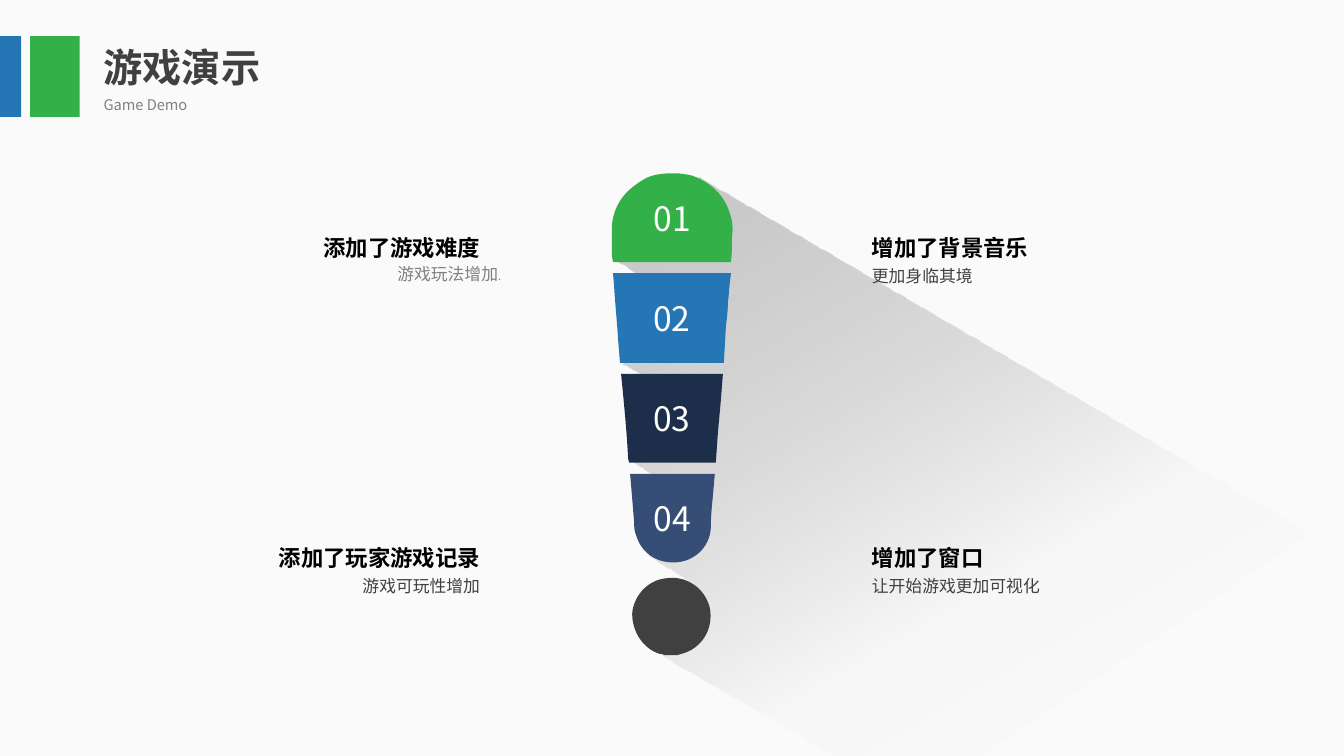
from lxml import etree
from pptx import Presentation
from pptx.dml.color import RGBColor
from pptx.enum.shapes import MSO_SHAPE
from pptx.enum.text import MSO_ANCHOR, PP_ALIGN
from pptx.oxml import parse_xml
from pptx.oxml.ns import nsdecls, qn
from pptx.util import Inches, Pt

FONT = "Noto Sans CJK SC"
COLORS = {"back": "FAFAFA", "green": "33B048", "blue": "2576B5", "navy": "1D2E4B",
          "slate": "364D76", "dark": "404040", "grey": "808080", "black": "000000",
          "white": "FFFFFF", "pale": "F2F2F2"}

BARS = [(0.3, 0.49, "green"), (0, 0.21, "blue")]
TITLE, SUBTITLE = "游戏演示", "Game Demo"
LEFT, RIGHT = 4.86, 8.55
LABELS = [
    ("left", 2.22, "添加了游戏难度", 2.55, None),
    ("left", 5.3, "添加了玩家游戏记录", 5.62, "游戏可玩性增加"),
    ("right", 2.22, "增加了背景音乐", 2.55, "更加身临其境"),
    ("right", 5.3, "增加了窗口", 5.62, "让开始游戏更加可视化"),
]
DIFFICULTY = "游戏玩法增加"

SHADOW_STOPS = [(0, "black", 20), (61, "pale", 34), (100, "pale", 0)]
SHADOW = [(13.04, 5.32), (13.04, 5.25), (9.06, 7.94), (6.57, 6.5), (6.89, 5.79),
          (6.44, 5.51), (6.68, 4.85), (6.26, 4.56), (6.76, 3.93), (6.18, 3.61),
          (6.69, 2.96), (6.1, 2.57), (6.94, 1.76)]
MARK = [
    ("01", "green", [
        (6.61, 1.72), (6.65, 1.72, 6.69, 1.72, 6.73, 1.72),
        (6.79, 1.73, 6.85, 1.73, 6.91, 1.76), (7.07, 1.83, 7.19, 1.95, 7.24, 2.12),
        (7.27, 2.2, 7.27, 2.28, 7.26, 2.36), (7.26, 2.44, 7.26, 2.52, 7.25, 2.6),
        (6.08, 2.6), (6.07, 2.54), (6.07, 2.5, 6.07, 2.46, 6.07, 2.42),
        (6.07, 2.38, 6.07, 2.33, 6.07, 2.29), (6.07, 2.27, 6.07, 2.25, 6.07, 2.23),
        (6.09, 2.03, 6.2, 1.89, 6.37, 1.79), (6.44, 1.74, 6.52, 1.73, 6.61, 1.72)]),
    ("02", "blue", [
        (6.08, 2.71), (7.25, 2.71), (7.24, 2.8), (7.23, 2.87, 7.23, 2.94, 7.22, 3),
        (7.22, 3.08, 7.21, 3.16, 7.2, 3.24), (7.18, 3.6), (6.15, 3.6), (6.13, 3.36),
        (6.12, 3.18, 6.1, 3, 6.09, 2.82)]),
    ("03", "navy", [
        (6.16, 3.71), (7.17, 3.71), (7.15, 3.97), (7.14, 4.08, 7.13, 4.19, 7.12, 4.3),
        (7.1, 4.59), (6.24, 4.59), (6.23, 4.55), (6.22, 4.34, 6.2, 4.12, 6.18, 3.91)]),
    ("04", "slate", [
        (6.25, 4.7), (7.09, 4.7), (7.07, 4.93), (7.06, 5.03, 7.05, 5.13, 7.05, 5.24),
        (7.04, 5.43, 6.88, 5.58, 6.68, 5.58), (6.5, 5.58, 6.36, 5.48, 6.31, 5.31),
        (6.29, 5.27, 6.29, 5.22, 6.29, 5.18)]),
    ("", "dark", [
        (6.59, 6.5), (6.58, 6.49, 6.57, 6.49, 6.55, 6.49),
        (6.38, 6.44, 6.27, 6.27, 6.27, 6.09), (6.28, 5.92, 6.42, 5.76, 6.59, 5.74),
        (6.8, 5.7, 6.99, 5.83, 7.04, 6.03), (7.08, 6.24, 6.96, 6.44, 6.75, 6.49),
        (6.74, 6.49, 6.73, 6.49, 6.72, 6.5), (6.68, 6.5, 6.63, 6.5, 6.59, 6.5)]),
]


def rgb(color):
    return RGBColor.from_string(COLORS[color])


def add_outline(s, outline):
    points = [(Inches(seg[i]), Inches(seg[i + 1]))
              for seg in outline for i in range(0, len(seg), 2)]
    builder = s.shapes.build_freeform(*points[0])
    builder.add_line_segments(points[1:], close=True)
    sp = builder.convert_to_shape()
    lines = iter(list(sp._element.iter(qn("a:lnTo"))))
    for seg in outline[1:]:
        parts = [next(lines) for _ in range(len(seg) // 2)]
        if len(parts) == 3:
            curve = etree.Element(qn("a:cubicBezTo"))
            parts[0].addprevious(curve)
            for line in parts:
                curve.append(line[0])
                line.getparent().remove(line)
    sp.shadow.inherit = False
    sp.line.fill.background()
    return sp


def paint(sp, color):
    sp.shadow.inherit = False
    sp.line.fill.background()
    sp.fill.solid()
    sp.fill.fore_color.rgb = rgb(color)


def write(tf, text, size, color, bold=False, align=PP_ALIGN.LEFT, spacing=None):
    p = tf.paragraphs[0]
    p.alignment = align
    p.line_spacing = spacing
    p.add_run().text = text
    p.font.size = Pt(size)
    p.font.bold = bold
    p.font.color.rgb = rgb(color)
    p.font.name = FONT
    ea = etree.SubElement(p._p.pPr.find(qn("a:defRPr")), qn("a:ea"))
    ea.set("typeface", FONT)
    return p


def add_text(s, x, y, w, h, *args, **style):
    tf = s.shapes.add_textbox(*map(Inches, (x, y, w, h))).text_frame
    tf.word_wrap = True
    return write(tf, *args, **style)


def add_shadow(s):
    sp = add_outline(s, SHADOW)
    sp.fill.background()
    stops = "".join(
        f'<a:gs pos="{pos * 1000}"><a:srgbClr val="{COLORS[color]}">'
        f'<a:alpha val="{alpha * 1000}"/></a:srgbClr></a:gs>'
        for pos, color, alpha in SHADOW_STOPS)
    grad = parse_xml(f'<a:gradFill {nsdecls("a")} rotWithShape="1"><a:gsLst>{stops}</a:gsLst>'
                     '<a:lin ang="3600000" scaled="0"/></a:gradFill>')
    props = sp._element.spPr
    props.replace(props.find(qn("a:noFill")), grad)


def add_mark(s):
    for number, color, outline in MARK:
        sp = add_outline(s, outline)
        paint(sp, color)
        if number:
            sp.text_frame.vertical_anchor = MSO_ANCHOR.MIDDLE
            write(sp.text_frame, number, 24, "white", align=PP_ALIGN.CENTER)


def add_header(s):
    for x, w, color in BARS:
        paint(s.shapes.add_shape(MSO_SHAPE.RECTANGLE, *map(Inches, (x, 0.36, w, 0.8))), color)
    add_text(s, 0.93, 0.38, 3.6, 0.57, TITLE, 28, "dark", bold=True)
    add_text(s, 0.93, 0.87, 5.34, 0.3, SUBTITLE, 10.5, "grey", spacing=1.2)


def add_labels(s):
    for side, heading_y, heading, detail_y, detail in LABELS:
        align = PP_ALIGN.RIGHT if side == "left" else PP_ALIGN.JUSTIFY
        for text, w, h, y, size, color, bold in (
                (heading, 2.24, 0.42, heading_y, 16, "black", True),
                (detail, 3.37, 0.34, detail_y, 12, "dark", False)):
            if text:
                x = LEFT - w if side == "left" else RIGHT
                add_text(s, x, y, w, h, text, size, color, bold=bold, align=align, spacing=1.2)
    p = add_text(s, 2.38, 2.6, 2.69, 0.27, DIFFICULTY, 12, "grey",
                 align=PP_ALIGN.RIGHT, spacing=Pt(12))
    r = p.add_run()
    r.text = "."
    r.font.size = Pt(8)


def main():
    """Build the game demo slide with its exclamation mark."""
    prs = Presentation()
    prs.slide_width, prs.slide_height = Inches(13.33), Inches(7.5)
    s = prs.slides.add_slide(prs.slide_layouts[6])
    s.background.fill.solid()
    s.background.fill.fore_color.rgb = rgb("back")
    add_shadow(s)
    add_mark(s)
    add_header(s)
    add_labels(s)
    prs.save("out.pptx")


if __name__ == "__main__":
    main()
